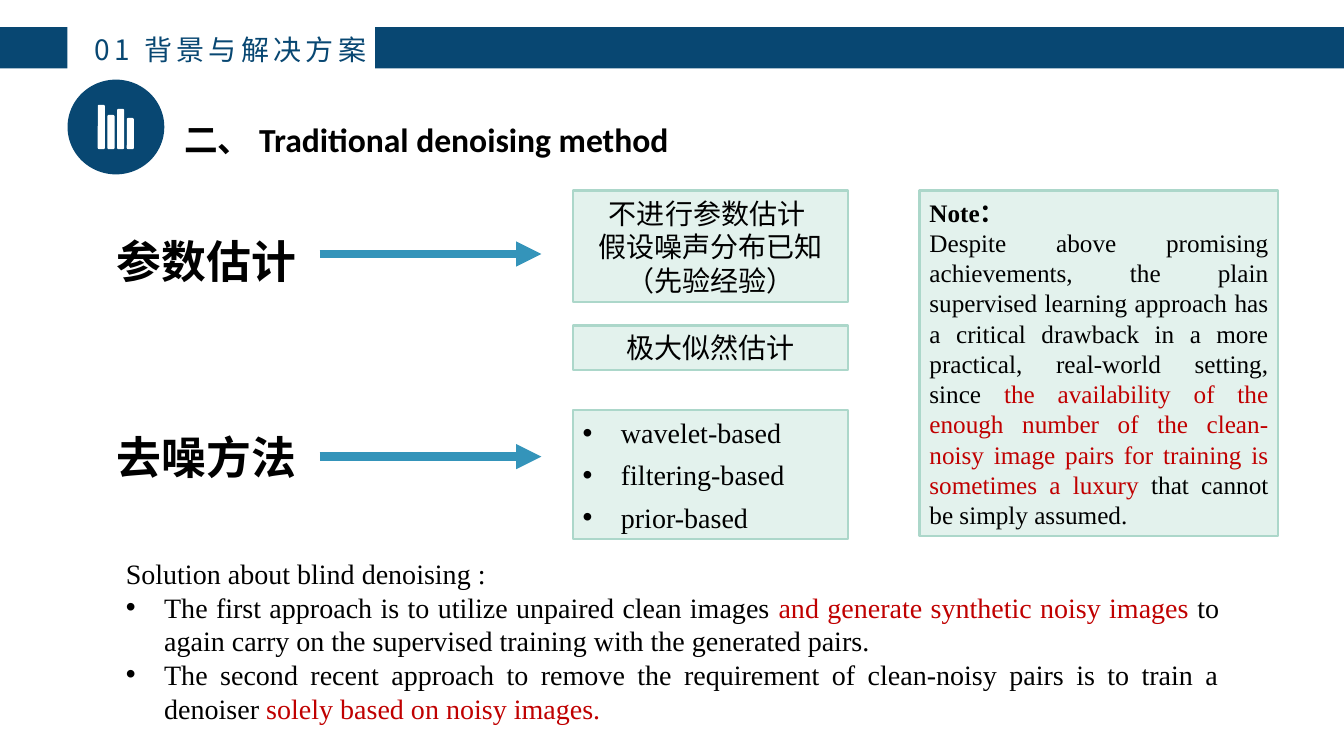
from dataclasses import dataclass

from lxml import etree
from pptx import Presentation
from pptx import util as u
from pptx.dml.color import RGBColor
from pptx.enum import shapes, text
from pptx.oxml import ns


@dataclass(frozen=True)
class Theme:
    navy: str = "084772"
    arrow: str = "3494BA"
    box_fill: str = "E3F2ED"
    box_line: str = "ACD7CA"
    black: str = "000000"
    white: str = "FFFFFF"
    red: str = "C00000"
    chinese: str = "Noto Sans CJK SC"
    serif: str = "Times New Roman"
    sans: str = "Calibri"
    note: int = 18
    body: int = 20
    heading: int = 24
    topic: int = 32


THEME = Theme()
ALIGN = text.PP_ALIGN


def add_xml(parent, tag, **attributes):
    return etree.SubElement(parent, ns.qn(tag), attributes)


def write(shape, paragraphs, size=THEME.body, font=THEME.serif, color=THEME.black,
          bold=False, align=ALIGN.JUSTIFY, bullets_from=None, space_after=0,
          first_spacing=None, tracking=None, wrap=True, anchor=text.MSO_ANCHOR.TOP):
    """Each paragraph is a list of (words, overrides) runs."""
    frame = shape.text_frame
    frame.word_wrap = wrap
    frame.vertical_anchor = anchor
    for index, runs in enumerate(paragraphs):
        paragraph = frame.paragraphs[0] if index == 0 else frame.add_paragraph()
        paragraph.alignment = align
        paragraph.space_after = u.Pt(space_after)
        if index == 0 and first_spacing:
            paragraph.line_spacing = first_spacing
        if bullets_from is not None and index >= bullets_from:
            properties = paragraph._p.get_or_add_pPr()
            properties.set("marL", str(u.Inches(0.38)))
            properties.set("indent", str(-u.Inches(0.38)))
            add_xml(properties, "a:buFont", typeface="Arial")
            add_xml(properties, "a:buChar", char="•")
        for words, overrides in runs:
            run = paragraph.add_run()
            run.text = words
            run.font.size = u.Pt(size)
            run.font.bold = overrides.get("bold", bold)
            run.font.name = overrides.get("font", font)
            run.font.color.rgb = RGBColor.from_string(overrides.get("color", color))
            properties = run._r.get_or_add_rPr()
            add_xml(properties, "a:ea", typeface=THEME.chinese)
            if tracking:
                properties.set("spc", str(tracking * 100))


def add_text(slide, box, paragraphs, **style):
    shape = slide.shapes.add_textbox(*map(u.Inches, box))
    write(shape, paragraphs, **style)


def add_block(slide, kind, box, fill, line=None):
    shape = slide.shapes.add_shape(kind, *map(u.Inches, box))
    shape.shadow.inherit = False
    shape.fill.solid()
    shape.fill.fore_color.rgb = RGBColor.from_string(fill)
    if line:
        shape.line.color.rgb = RGBColor.from_string(line)
        shape.line.width = u.Pt(1.5)
    else:
        shape.line.fill.background()
    return shape


def add_panel(slide, box, paragraphs, **style):
    panel = add_block(slide, shapes.MSO_SHAPE.RECTANGLE, box, THEME.box_fill, THEME.box_line)
    write(panel, paragraphs, anchor=text.MSO_ANCHOR.MIDDLE, **style)


def add_banner(slide, box):
    left, top, width, height = box
    gap_start, gap_end = left + 0.67, left + 3.72
    for start, end in ((left, gap_start), (gap_end, left + width)):
        add_block(slide, shapes.MSO_SHAPE.RECTANGLE, (start, top, end - start, height), THEME.navy)
    add_text(slide, (left + 0.31, top, 3.42, 0.44), [[("01 背景与解决方案", {})]],
             font=THEME.chinese, color=THEME.navy, align=ALIGN.RIGHT, tracking=3)


def add_heading(slide, box):
    left, top, width, height = box
    add_block(slide, shapes.MSO_SHAPE.OVAL, (left, top, 0.96, height), THEME.navy)
    # Bars of the round icon, standing on one base line
    for index, bar in enumerate((0.44, 0.34, 0.4, 0.31)):
        shape = add_block(slide, shapes.MSO_SHAPE.ROUNDED_RECTANGLE,
                          (left + 0.3 + index * 0.096, top + 0.69 - bar, 0.07, bar), THEME.white)
        shape.adjustments[0] = 0.2
    add_text(slide, (left + 1.06, top + 0.34, width - 1.06, 0.5),
             [[("二、 ", {"font": THEME.chinese}), ("Traditional denoising method", {})]],
             size=THEME.heading, font=THEME.sans, bold=True)


def add_topic(slide, box, label, arrow_drop):
    left, top, width, height = box
    add_text(slide, (left, top, 2, height), [[(label, {})]], size=THEME.topic,
             font=THEME.chinese, bold=True, align=ALIGN.LEFT, wrap=False)
    # Arrow from the label to the panels
    y = top + arrow_drop
    arrow = slide.shapes.add_connector(
        shapes.MSO_CONNECTOR.STRAIGHT,
        *map(u.Inches, (left + 2.11, y, left + width, y)))
    arrow.line.color.rgb = RGBColor.from_string(THEME.arrow)
    arrow.line.width = u.Pt(6)
    add_xml(arrow.line._get_or_add_ln(), "a:tailEnd", type="triangle")
    add_xml(arrow._element.spPr, "a:effectLst")


def add_method_panels(slide, box):
    left, top, width, height = box
    chinese = dict(font=THEME.chinese, align=ALIGN.CENTER)
    estimates = ("不进行参数估计 ", "假设噪声分布已知", "（先验经验）")
    add_panel(slide, (left, top, width, 1.11), [[(line, {})] for line in estimates], **chinese)
    add_panel(slide, (left, top + 1.34, width, 0.44), [[("极大似然估计", {})]], **chinese)
    methods = ("wavelet-based", "filtering-based", "prior-based")
    add_panel(slide, (left, top + 2.18, width, height - 2.18),
              [[(method, {})] for method in methods], bullets_from=0, space_after=6)


def add_note(slide, box):
    add_panel(slide, box, [
        [("Note：", {"bold": True})],
        [("Despite above promising achievements, the plain supervised learning approach has "
          "a critical drawback in a more practical, real-world setting, since ", {}),
         ("the availability of the enough number of the clean-noisy image pairs for training "
          "is sometimes a luxury ", {"color": THEME.red}),
         ("that cannot be simply assumed.", {})],
    ], size=THEME.note)


def add_solutions(slide, box):
    add_text(slide, box, [
        [("Solution about blind denoising :", {})],
        [("The first approach is to utilize unpaired clean images ", {}),
         ("and generate synthetic noisy images ", {"color": THEME.red}),
         ("to again carry on the supervised training with the generated pairs.", {})],
        [("The second recent approach to remove the requirement of clean-noisy pairs is "
          "to train a denoiser ", {}),
         ("solely based on noisy images.", {"color": THEME.red})],
    ], bullets_from=1, first_spacing=1.25)


def main():
    presentation = Presentation()
    presentation.slide_width = u.Inches(13.33)
    presentation.slide_height = u.Inches(7.5)
    slide = presentation.slides.add_slide(presentation.slide_layouts[6])
    add_banner(slide, (0, 0.27, 13.33, 0.41))
    add_heading(slide, (0.67, 0.79, 7.02, 0.94))
    add_topic(slide, (1.06, 2.27, 4.31, 0.64), "参数估计", 0.25)
    add_topic(slide, (1.06, 4.21, 4.31, 0.64), "去噪方法", 0.32)
    add_method_panels(slide, (5.68, 1.89, 2.73, 3.46))
    add_note(slide, (9.12, 1.89, 3.56, 3.43))
    add_solutions(slide, (1.15, 5.39, 11.04, 1.87))
    presentation.save("out.pptx")


if __name__ == "__main__":
    main()
